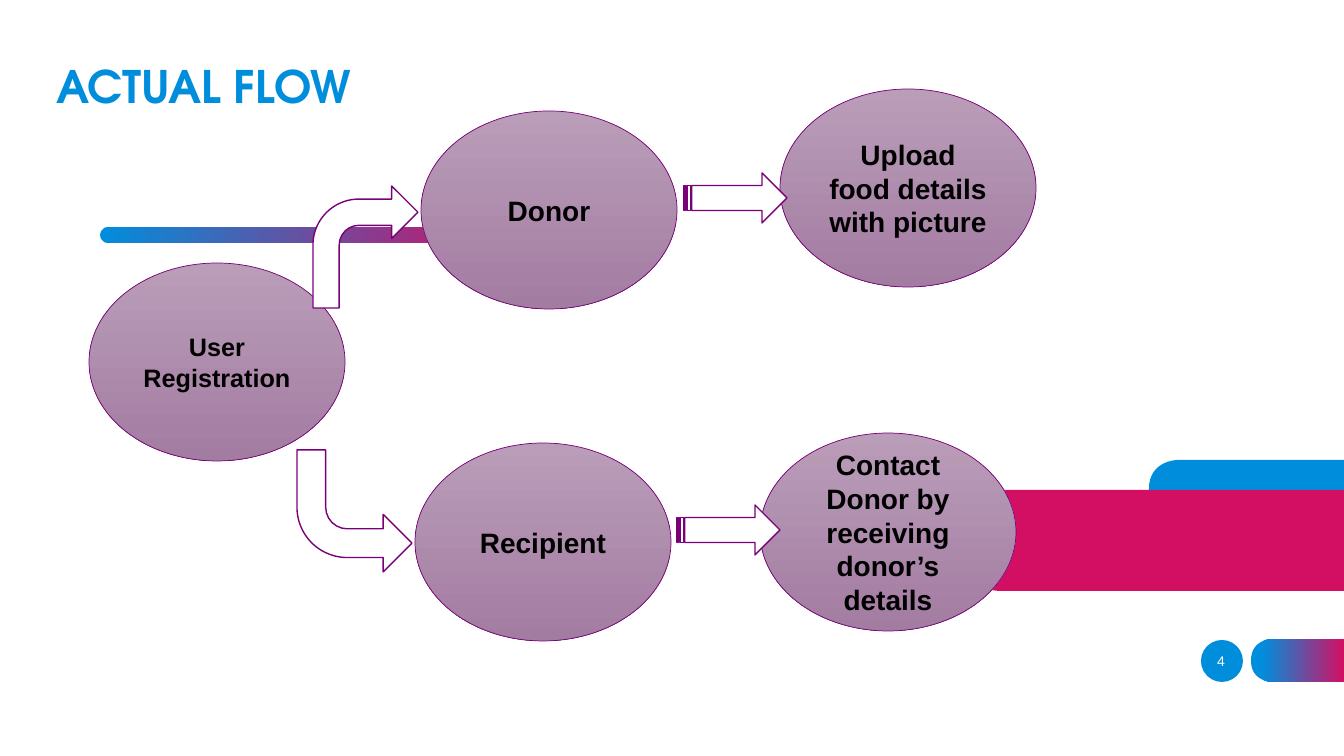
"""Build the "Actual flow" slide: registration leading to donor and recipient steps."""
from pptx import Presentation
from pptx import util as u
from pptx.dml.color import RGBColor
from pptx.enum import shapes as s, text as t

PX = 914400 / 100.8
BLUE = RGBColor(0x00, 0x8E, 0xDC)
CRIMSON = RGBColor(0xD3, 0x0F, 0x64)
PURPLE = RGBColor(0x7A, 0x00, 0x78)
MAUVE_LIGHT = RGBColor(0xBA, 0x9D, 0xB9)
MAUVE_DARK = RGBColor(0xA3, 0x7C, 0xA2)
WHITE = RGBColor(0xFF, 0xFF, 0xFF)
BLACK = RGBColor(0x00, 0x00, 0x00)
CURVE_STEPS = 16


def paint(shape, colors, angle=0, first_stop=0, outline=None, width=1):
    """Fill with one colour or a two-colour gradient, and outline if asked."""
    shape.shadow.inherit = False
    if len(colors) == 1:
        shape.fill.solid()
        shape.fill.fore_color.rgb = colors[0]
    else:
        shape.fill.gradient()
        shape.fill.gradient_angle = angle
        for stop, color, position in zip(shape.fill.gradient_stops, colors, (first_stop, 1)):
            stop.color.rgb = color
            stop.position = position
    if outline is None:
        shape.line.fill.background()
    else:
        shape.line.color.rgb = outline
        shape.line.width = u.Pt(width)


def write(frame, words, size, color, font="Arial", bold=True, align=t.PP_ALIGN.CENTER):
    """Put one formatted paragraph in a text frame, centred vertically."""
    frame.text = words
    frame.word_wrap = True
    frame.vertical_anchor = t.MSO_ANCHOR.MIDDLE
    paragraph = frame.paragraphs[0]
    paragraph.alignment = align
    for run in paragraph.runs:
        run.font.name = font
        run.font.size = u.Pt(size)
        run.font.bold = bold
        run.font.color.rgb = color


prs = Presentation()
prs.slide_width, prs.slide_height = round(1344 * PX), round(756 * PX)
slide = prs.slides.add_slide(prs.slide_layouts[5])
drawing = slide.shapes

title = drawing.title
title.left, title.top, title.width, title.height = (round(n * PX) for n in (46, 45, 496, 87))
write(title.text_frame, "ACTUAL FLOW", 32, BLUE, "TeX Gyre Adventor", align=t.PP_ALIGN.LEFT)
title.text_frame.paragraphs[0].line_spacing = 0.9

number_disc = drawing.add_shape(
    s.MSO_SHAPE.OVAL, *(round(n * PX) for n in (1201, 640, 42, 42)))
paint(number_disc, [BLUE])

title_bar = drawing.add_shape(
    s.MSO_SHAPE.ROUNDED_RECTANGLE, *(round(n * PX) for n in (100, 227, 414, 16)))
title_bar.adjustments[0] = 0.5
paint(title_bar, [BLUE, CRIMSON])

edge_tabs = [
    (1251, 639, 43, [BLUE, CRIMSON], 0.12),
    (1149, 460, 58, [BLUE], 0),
    (950, 490, 101, [CRIMSON], 0),
]
for left, top, height, colors, first_stop in edge_tabs:
    radius = height / 2
    steps = [i / CURVE_STEPS for i in range(CURVE_STEPS + 1)]
    corner = [(left + radius * ((1 - k) ** 3 + 3 * k * (1 - k) ** 2), radius * k ** 3)
              for k in steps]
    outline = [(x, top + y) for x, y in corner]
    outline += [(x, top + height - y) for x, y in reversed(corner)]
    outline += [(1344, top + height)]
    builder = drawing.build_freeform(round(1344 * PX), round(top * PX))
    builder.add_line_segments([(round(x * PX), round(y * PX)) for x, y in outline])
    paint(builder.convert_to_shape(), colors, first_stop=first_stop)

page_number = drawing.add_textbox(*(round(n * PX) for n in (1191, 641, 60, 40)))
write(page_number.text_frame, "4", 10, WHITE, bold=False)

flow_steps = [
    (780, 89, "Upload food details with picture", 20),
    (89, 263, "User Registration", 18),
    (421, 111, "Donor", 20),
    (415, 443, "Recipient", 20),
    (760, 433, "Contact Donor by receiving donor’s details", 20),
]
for left, top, words, size in flow_steps:
    step = drawing.add_shape(
        s.MSO_SHAPE.OVAL, *(round(n * PX) for n in (left, top, 256, 198)))
    paint(step, [MAUVE_LIGHT, MAUVE_DARK], 270, outline=PURPLE, width=0.5)
    write(step.text_frame, words, size, BLACK)

flow_arrows = [
    (s.MSO_SHAPE.BENT_ARROW, (313, 186, 105, 122), False),
    (s.MSO_SHAPE.BENT_ARROW, (297, 450, 115, 122), True),
    (s.MSO_SHAPE.STRIPED_RIGHT_ARROW, (684, 173, 103, 50), False),
    (s.MSO_SHAPE.STRIPED_RIGHT_ARROW, (677, 505, 103, 50), False),
]
for kind, place, flipped in flow_arrows:
    arrow = drawing.add_shape(kind, *(round(n * PX) for n in place))
    paint(arrow, [WHITE], outline=PURPLE)
    if flipped:
        arrow._element.spPr.xfrm.set("flipV", "1")

prs.save("out.pptx")
